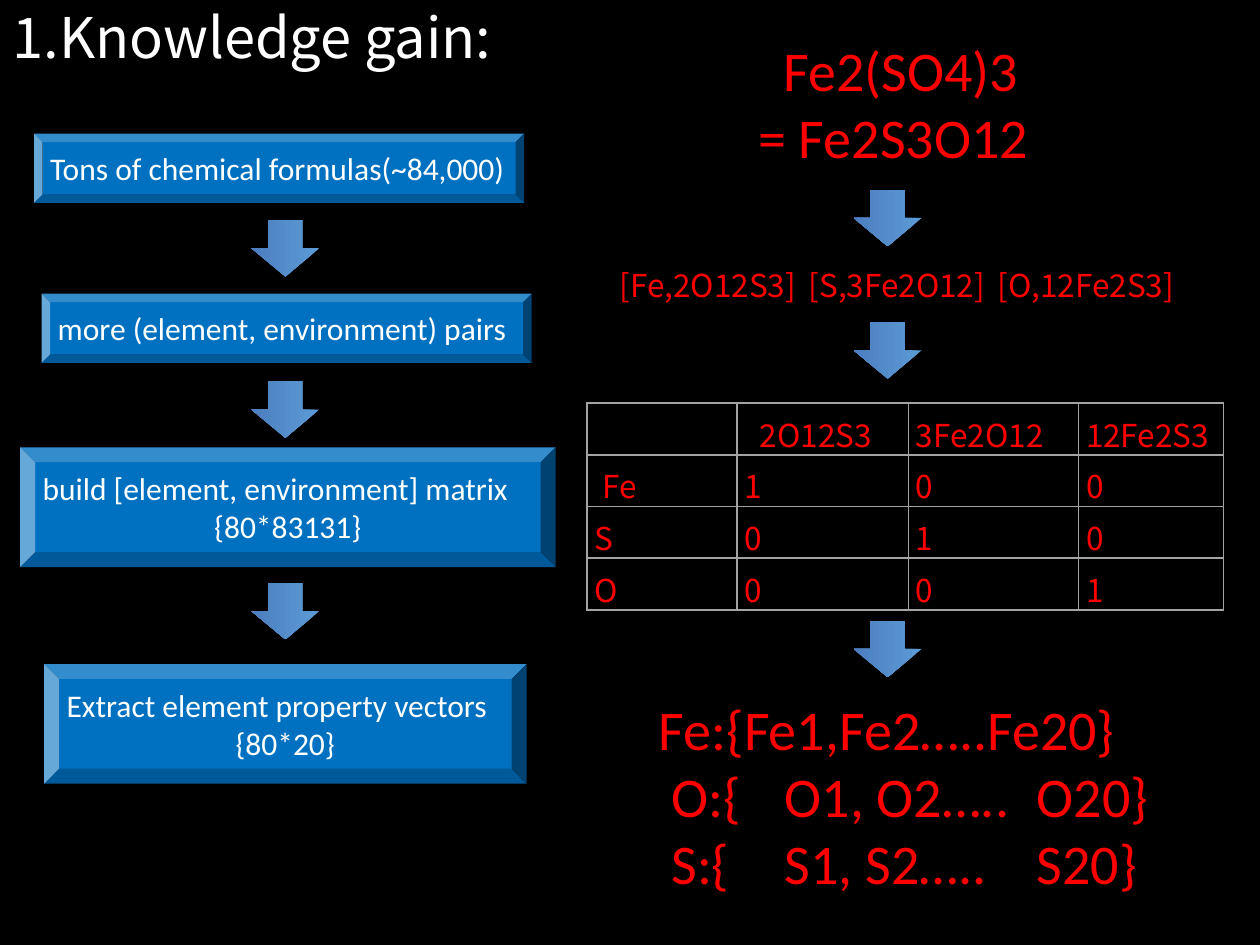
from pptx import Presentation
from pptx.dml.color import RGBColor
from pptx.enum.shapes import MSO_SHAPE
from pptx.enum.text import MSO_ANCHOR, PP_ALIGN
from pptx.oxml.ns import qn
from pptx.util import Emu, Inches, Pt
from lxml import etree

BEVEL, ARROW = MSO_SHAPE.BEVEL, MSO_SHAPE.RIGHT_ARROW
TOP, MIDDLE = MSO_ANCHOR.TOP, MSO_ANCHOR.MIDDLE
LEFT, CENTER = PP_ALIGN.LEFT, PP_ALIGN.CENTER
SANS, CJK = "Calibri", "Noto Sans CJK SC"
COLORS = {"back": "000000", "text": "FFFFFF", "example": "FF0000", "box": "0070C0",
          "arrow_light": "5B9BD5", "arrow_dark": "4D7EBF", "grid": "A3A3A3"}

# Content
TITLE = "1.Knowledge gain:"
STEPS = [  # left, top, width, height, lines
    (0.27, 1.06, 3.89, 0.55, ["Tons of chemical formulas(~84,000)"]),
    (0.33, 2.33, 3.89, 0.55, ["more (element, environment) pairs"]),
    (0.16, 3.55, 4.25, 0.95, ["build [element, environment] matrix", "{80*83131}"]),
    (0.35, 5.27, 3.83, 0.95, ["Extract element property vectors", "{80*20}"]),
]
EXAMPLES = [  # box, font, size, top inset, lines of (text, indent, tab stops)
    ((5.92, 0.23, 3, 1.72), SANS, 32, 0.05,
     [("Fe2(SO4)3", 0.2, []), ("= Fe2S3O12", 0, [])]),
    ((4.82, 2.09, 5.36, 0.4), CJK, 18, 0.02,
     [("[Fe,2O12S3]\t[S,3Fe2O12]\t[O,12Fe2S3]", 0, [1.63, 3.19])]),
    ((5.13, 5.46, 4.57, 2.26), SANS, 32, 0.05,
     [("Fe:{Fe1,Fe2…..Fe20}", 0, []),
      ("O:{\tO1, O2…..\tO20}", 0.1, [0.86, 2.74]),
      ("S:{\tS1, S2…..\tS20}", 0.1, [0.98, 2.77])]),
]
ENVIRONMENTS = ["2O12S3", "3Fe2O12", "12Fe2S3"]
ELEMENTS = ["Fe", "S", "O"]
COLUMNS, ROW = [1.19, 1.36, 1.35, 1.15], 0.41
CELL_INDENTS = {(0, 1): 0.12, (1, 0): 0.06}
ARROW_W, ARROW_H = 0.45, 0.54
ARROWS = {2.04: [1.7, 2.98, 4.58], 6.82: [1.46, 2.51, 4.88]}  # left: tops


def rgb(name):
    return RGBColor.from_string(COLORS[name])


def inches(*values):
    return [Inches(v) for v in values]


def style(p, font, size, color, align=LEFT):
    p.alignment = align
    p.font.name, p.font.size = font, Pt(size)
    p.font.color.rgb = rgb(color)


def set_indent(p, indent, stops=()):
    pPr = p._p.get_or_add_pPr()
    pPr.set("marL", "0")
    pPr.set("indent", str(Inches(indent)))
    if stops:
        tabs = etree.Element(qn("a:tabLst"))
        for stop in stops:
            etree.SubElement(tabs, qn("a:tab"), pos=str(Inches(stop)), algn="l")
        pPr.insert(0, tabs)


def set_margins(target, left, top, right, bottom):
    (target.margin_left, target.margin_top,
     target.margin_right, target.margin_bottom) = inches(left, top, right, bottom)


def add_paragraphs(tf, lines):
    tf.text = "\n".join(lines)
    return tf.paragraphs


def add_shape(kind, left, top, width, height):
    sp = s.shapes.add_shape(kind, *inches(left, top, width, height))
    sp.shadow.inherit = False
    sp.line.fill.background()
    return sp


def set_border(cell):
    tcPr = cell._tc.get_or_add_tcPr()
    for i, side in enumerate(("lnL", "lnR", "lnT", "lnB")):
        ln = etree.Element(qn("a:" + side), w=str(Pt(1)))
        fill = etree.SubElement(ln, qn("a:solidFill"))
        etree.SubElement(fill, qn("a:srgbClr"), val=COLORS["grid"])
        tcPr.insert(i, ln)


prs = Presentation()
prs.slide_width, prs.slide_height = inches(10, 7.5)
s = prs.slides.add_slide(prs.slide_layouts[5])
s.background.fill.solid()
s.background.fill.fore_color.rgb = rgb("back")

# Title
title = s.shapes.title
title.left, title.top, title.width, title.height = inches(0, 0, 4.15, 0.64)
tf = title.text_frame
tf.text = TITLE
tf.word_wrap, tf.vertical_anchor = False, TOP
set_margins(tf, 0.1, 0.02, 0.1, 0)
style(tf.paragraphs[0], CJK, 32, "text")

# Process steps
for left, top, width, height, lines in STEPS:
    sp = add_shape(BEVEL, left, top, width, height)
    sp.fill.solid()
    sp.fill.fore_color.rgb = rgb("box")
    tf = sp.text_frame
    tf.word_wrap, tf.vertical_anchor = True, MIDDLE
    set_margins(tf, 0.06, 0.06, 0.06, 0.06)
    for i, p in enumerate(add_paragraphs(tf, lines)):
        style(p, SANS, 18, "text", CENTER if i else LEFT)

# Down arrows
for left, tops in ARROWS.items():
    for top in tops:
        sp = add_shape(ARROW, left, top, ARROW_W, ARROW_H)
        sp.rotation = 90
        sp.fill.gradient()
        sp.fill.gradient_angle = 270
        for stop, color in zip(sp.fill.gradient_stops, ("arrow_light", "arrow_dark")):
            stop.color.rgb = rgb(color)

# Worked example texts
for box, font, size, inset, lines in EXAMPLES:
    tf = s.shapes.add_textbox(*inches(*box)).text_frame
    tf.word_wrap = True
    set_margins(tf, 0.1, inset, 0.1, 0.05)
    paragraphs = add_paragraphs(tf, [text for text, _, _ in lines])
    for p, (_, indent, stops) in zip(paragraphs, lines):
        style(p, font, size, "example")
        set_indent(p, indent, stops)

# Element by environment matrix
matrix = [[""] + ENVIRONMENTS] + [
    [name] + [str(int(i == j)) for j in range(len(ENVIRONMENTS))]
    for i, name in enumerate(ELEMENTS)]
frame = s.shapes.add_table(len(matrix), len(COLUMNS),
                           *inches(4.66, 3.2, sum(COLUMNS), ROW * len(matrix)))
table = frame.table
table.first_row = table.horz_banding = False
for column, width in zip(table.columns, COLUMNS):
    column.width = Inches(width)
for i, values in enumerate(matrix):
    table.rows[i].height = Emu(Inches(ROW))
    for j, value in enumerate(values):
        cell = table.cell(i, j)
        cell.text = value
        cell.fill.background()
        set_margins(cell, 0.06, 0.06, 0.06, 0)
        set_border(cell)
        p = cell.text_frame.paragraphs[0]
        style(p, CJK, 18, "example")
        set_indent(p, CELL_INDENTS.get((i, j), 0))

prs.save("out.pptx")
